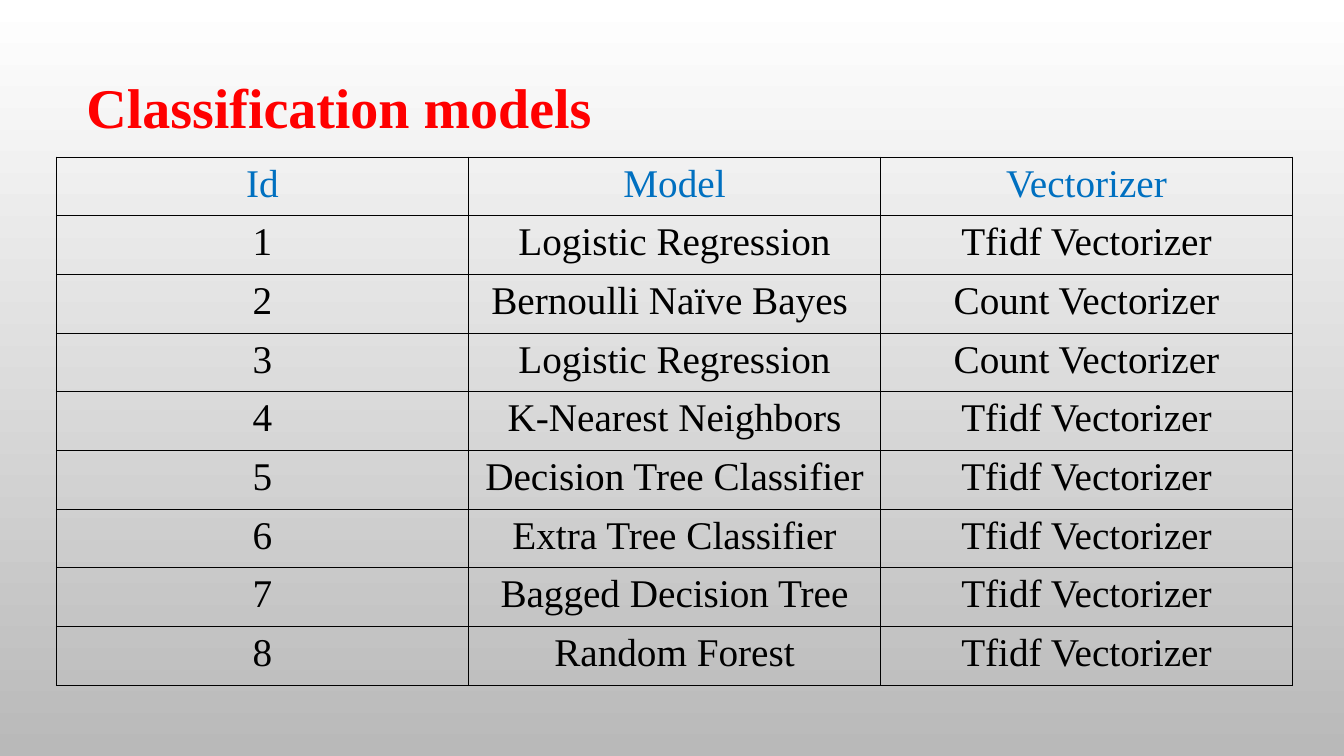
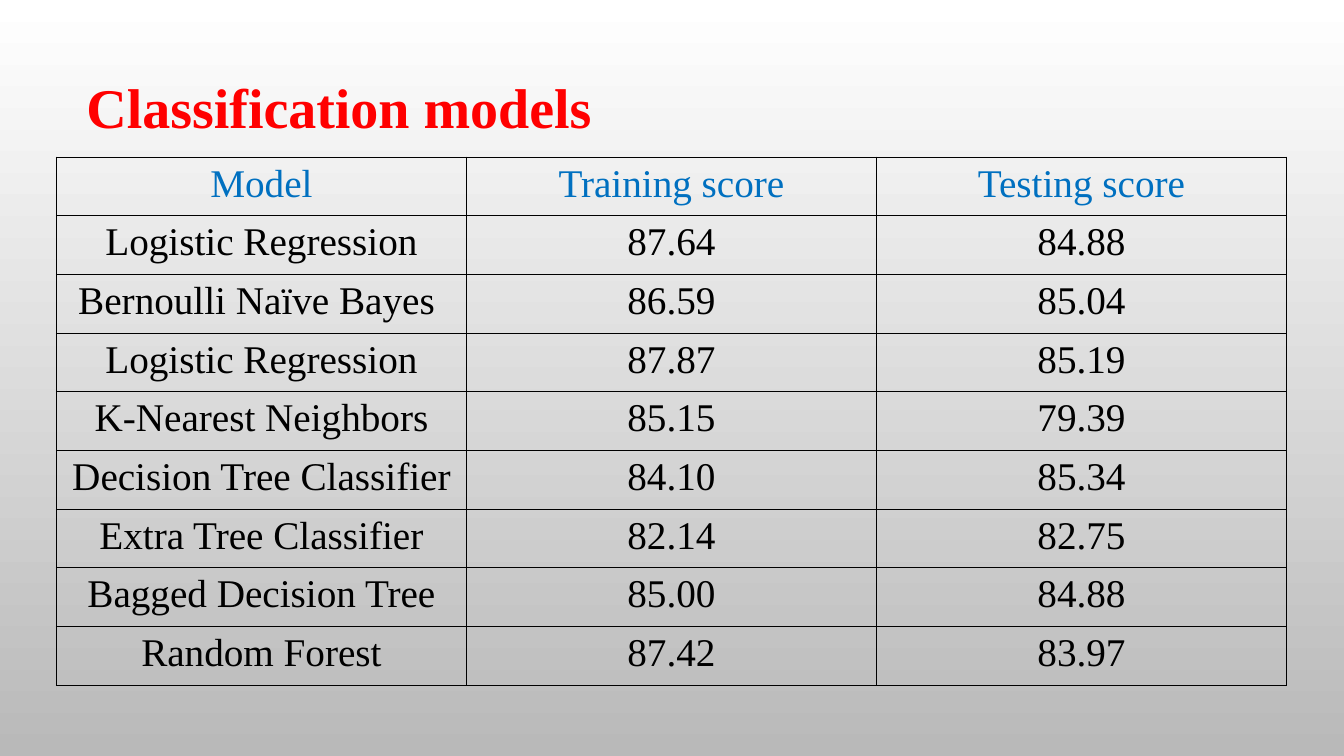
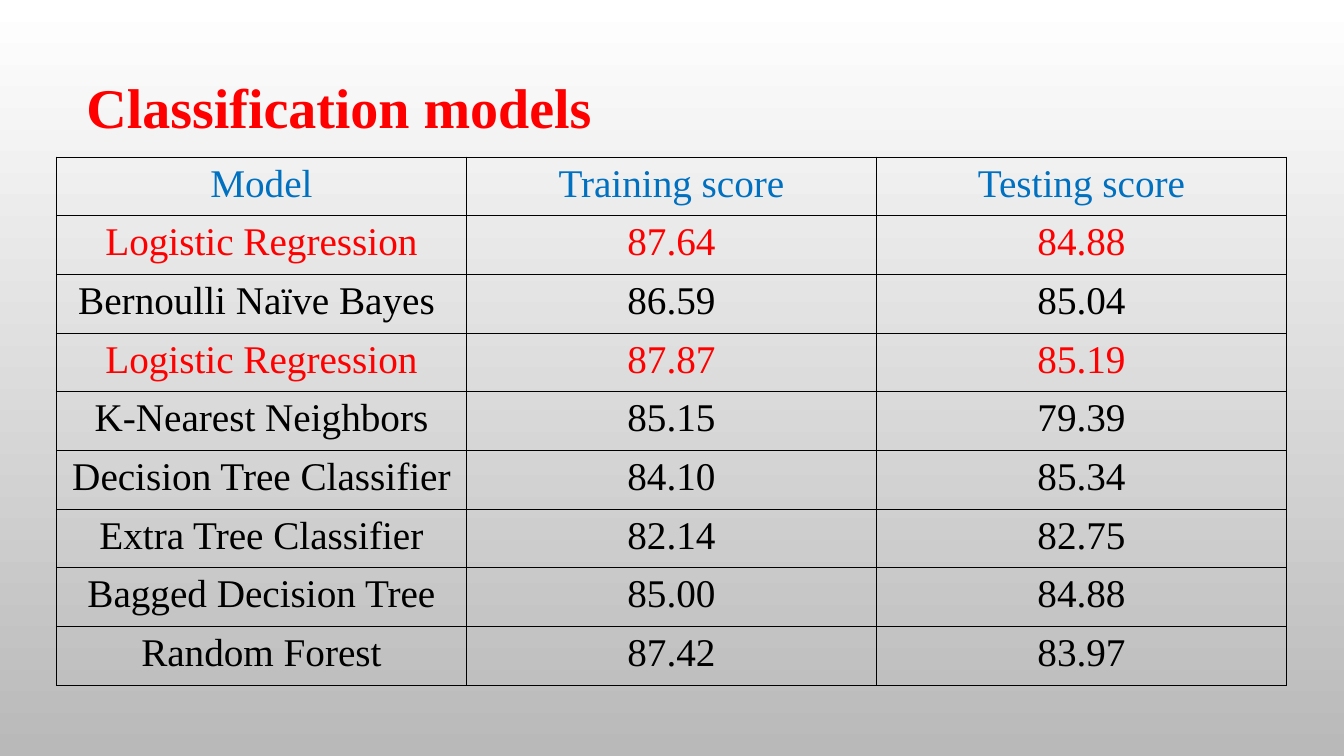
from lxml.etree import SubElement
from pptx import Presentation
from pptx.dml.color import RGBColor
from pptx.enum.text import MSO_AUTO_SIZE, PP_ALIGN
from pptx.oxml.ns import qn
from pptx.util import Inches, Pt

FONT = "Times New Roman"
RED, BLUE, BLACK = "FF0000", "0070C0", "000000"
BACKGROUND = ("FFFFFF", "B9B9B9")

# model, vectorizer, training score, testing score
MODELS = [
    ("Logistic Regression", "Tfidf Vectorizer", "87.64", "84.88"),
    ("Bernoulli Naïve Bayes ", "Count Vectorizer", "86.59", "85.04"),
    ("Logistic Regression", "Count Vectorizer", "87.87", "85.19"),
    ("K-Nearest Neighbors", "Tfidf Vectorizer", "85.15", "79.39"),
    ("Decision Tree Classifier", "Tfidf Vectorizer", "84.10", "85.34"),
    ("Extra Tree Classifier", "Tfidf Vectorizer", "82.14", "82.75"),
    ("Bagged Decision Tree", "Tfidf Vectorizer", "85.00", "84.88"),
    ("Random Forest", "Tfidf Vectorizer", "87.42", "83.97"),
]


def rgb(color):
    return RGBColor.from_string(color)


def set_background(master):
    fill = master.background.fill
    fill.gradient()
    fill.gradient_angle = 270
    for stop, position, color in zip(fill.gradient_stops, (0, 1), BACKGROUND):
        stop.position = position
        stop.color.rgb = rgb(color)


def write(tf, text, size, color, bold=False, align=PP_ALIGN.LEFT):
    tf.text = text
    p = tf.paragraphs[0]
    p.alignment = align
    font = p.runs[0].font
    font.name, font.size, font.bold = FONT, Pt(size), bold
    font.color.rgb = rgb(color)


def add_title(s, text):
    box = s.shapes.add_textbox(Inches(0.76), Inches(0.67), Inches(5.27), Inches(0.77))
    tf = box.text_frame
    tf.word_wrap = False
    tf.auto_size = MSO_AUTO_SIZE.SHAPE_TO_FIT_TEXT
    write(tf, text, 40, RED, bold=True)


def add_borders(cell):
    tcPr = cell._tc.get_or_add_tcPr()
    for side in ("a:lnL", "a:lnR", "a:lnT", "a:lnB"):
        ln = SubElement(tcPr, qn(side), w=str(Pt(1)))
        SubElement(SubElement(ln, qn("a:solidFill")), qn("a:srgbClr"), val=BLACK)


def add_grid(s, width, rows, highlighted=()):
    """Add a bordered table; the first row is the header, highlighted rows are red."""
    table = s.shapes.add_table(len(rows), len(rows[0]), Inches(0.56), Inches(1.56),
                               Inches(width), Inches(5.24)).table
    table.first_row = table.horz_banding = False
    for i, row in enumerate(rows):
        color = BLUE if i == 0 else RED if i in highlighted else BLACK
        for j, text in enumerate(row):
            cell = table.cell(i, j)
            add_borders(cell)
            cell.fill.background()
            write(cell.text_frame, text, 28, color, align=PP_ALIGN.CENTER)


def main():
    prs = Presentation()
    prs.slide_width, prs.slide_height = Inches(13.33), Inches(7.5)
    set_background(prs.slide_master)

    vectorizers = [("Id", "Model", "Vectorizer")]
    scores = [("Model", "Training score", "Testing score")]
    for number, (model, vectorizer, training, testing) in enumerate(MODELS, 1):
        vectorizers.append((str(number), model, vectorizer))
        scores.append((model, training, testing))

    best = (1, 3)
    for width, rows, highlighted in ((12.26, vectorizers, ()),
                                     (12.2, scores, ()),
                                     (12.2, scores, best)):
        s = prs.slides.add_slide(prs.slide_layouts[6])
        add_title(s, "Classification models")
        add_grid(s, width, rows, highlighted)

    prs.save("out.pptx")


if __name__ == "__main__":
    main()
